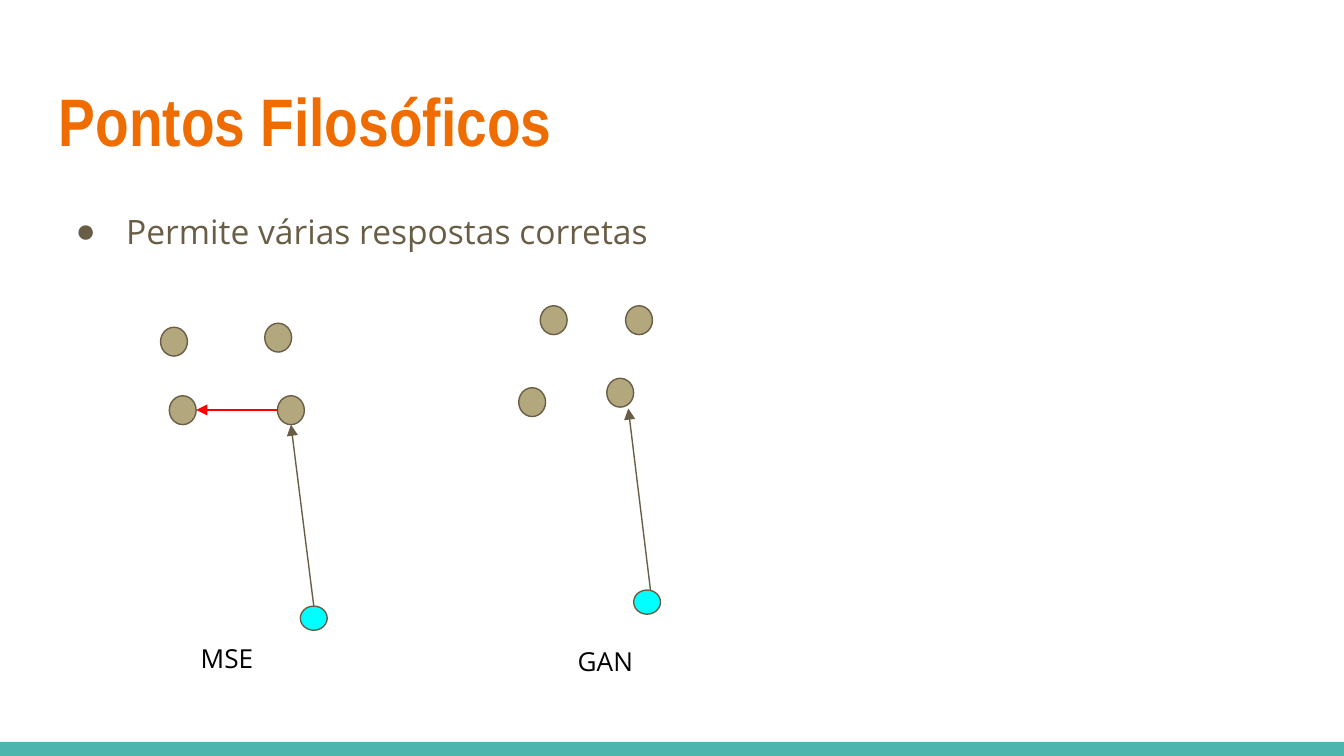
from dataclasses import dataclass

from lxml import etree
from pptx import Presentation
from pptx.dml.color import RGBColor
from pptx.enum.shapes import MSO_CONNECTOR, MSO_SHAPE
from pptx.oxml.ns import qn
from pptx.util import Emu, Pt

RECTANGLE = MSO_SHAPE.RECTANGLE
OVAL = MSO_SHAPE.OVAL
STRAIGHT = MSO_CONNECTOR.STRAIGHT
EMU_PER_PX = 4572
SLIDE_WIDTH, SLIDE_HEIGHT = 2000, 1125
FOOTER_TOP = 1104
TEXT_MARGIN = 20
BLANK_LAYOUT = 6


@dataclass(frozen=True)
class Theme:
    title_color: str = "EF6C00"
    body_color: str = "695D46"
    label_color: str = "000000"
    footer_color: str = "4DB6AC"
    answer_color: str = "B3A77D"
    input_color: str = "00FFFF"
    error_color: str = "FF0000"
    title_font: str = "Arial Narrow"
    body_font: str = "Open Sans"
    bullet_font: str = "Arial"
    title_size: int = 36
    body_size: int = 18
    label_size: int = 14
    line_width: float = 0.75


def px(value):
    return Emu(value * EMU_PER_PX)


class SlideBuilder:
    def __init__(self, slide, theme):
        self.slide = slide
        self.theme = theme

    def shape(self, kind, left, top, width, height, fill, line=None):
        shape = self.slide.shapes.add_shape(
            kind, px(left), px(top), px(width), px(height))
        shape.shadow.inherit = False
        shape.fill.solid()
        shape.fill.fore_color.rgb = RGBColor.from_string(fill)
        if line:
            shape.line.color.rgb = RGBColor.from_string(line)
            shape.line.width = Pt(self.theme.line_width)
        else:
            shape.line.fill.background()

    def answer(self, left, top):
        self.shape(OVAL, left, top, 40, 43,
                   self.theme.answer_color, self.theme.body_color)

    def input(self, left, top):
        self.shape(OVAL, left, top, 40, 36,
                   self.theme.input_color, self.theme.body_color)

    def arrow(self, start, end, color):
        connector = self.slide.shapes.add_connector(
            STRAIGHT, *(px(value) for value in start + end))
        connector.line.color.rgb = RGBColor.from_string(color)
        connector.line.width = Pt(self.theme.line_width)
        line = connector.line._get_or_add_ln()
        etree.SubElement(line, qn("a:tailEnd"), type="triangle")
        etree.SubElement(connector._element.spPr, qn("a:effectLst"))

    def text(self, content, left, top, width, height, font, size, color,
             bold=False, bullet=False):
        box = self.slide.shapes.add_textbox(
            px(left), px(top), px(width), px(height))
        frame = box.text_frame
        frame.word_wrap = True
        frame.margin_left = frame.margin_right = px(TEXT_MARGIN)
        frame.margin_top = frame.margin_bottom = px(TEXT_MARGIN)
        paragraph = frame.paragraphs[0]
        paragraph.text = content
        if bullet:
            self.bullet(paragraph, color)
        paragraph.font.name = font
        paragraph.font.size = Pt(size)
        paragraph.font.bold = bold
        paragraph.font.color.rgb = RGBColor.from_string(color)

    def bullet(self, paragraph, color):
        paragraph.line_spacing = 1.15
        properties = paragraph._p.get_or_add_pPr()
        properties.set("marL", str(px(100)))
        properties.set("indent", str(px(-75)))
        bullet_color = etree.SubElement(properties, qn("a:buClr"))
        etree.SubElement(bullet_color, qn("a:srgbClr"), val=color)
        etree.SubElement(properties, qn("a:buFont"), typeface=self.theme.bullet_font)
        etree.SubElement(properties, qn("a:buChar"), char="●")

    def label(self, content, left, top, width, height):
        self.text(content, left, top, width, height, self.theme.body_font,
                  self.theme.label_size, self.theme.label_color)

    def diagram(self, answers, input_point, arrow_start, arrow_end):
        for left, top in answers:
            self.answer(left, top)
        self.input(*input_point)
        self.arrow(arrow_start, arrow_end, self.theme.body_color)


def main():
    presentation = Presentation()
    presentation.slide_width = px(SLIDE_WIDTH)
    presentation.slide_height = px(SLIDE_HEIGHT)
    slide = presentation.slides.add_slide(presentation.slide_layouts[BLANK_LAYOUT])
    theme = Theme()
    builder = SlideBuilder(slide, theme)

    builder.shape(RECTANGLE, 0, FOOTER_TOP, SLIDE_WIDTH,
                  SLIDE_HEIGHT - FOOTER_TOP, theme.footer_color)
    builder.text("Pontos Filosóficos", 68, 98, 1864, 154, theme.title_font,
                 theme.title_size, theme.title_color, bold=True)
    builder.text("Permite várias respostas corretas", 68, 285, 1864, 722,
                 theme.body_font, theme.body_size, theme.body_color, bullet=True)

    builder.diagram([(239, 487), (394, 481), (252, 589), (413, 589)],
                    (447, 902), (467, 902), (433, 632))
    builder.arrow((413, 610), (292, 610), theme.error_color)
    builder.label("MSE", 279, 936, 246, 42)

    builder.diagram([(804, 455), (931, 455), (772, 577), (903, 563)],
                    (943, 878), (968, 878), (935, 608))
    builder.label("GAN", 840, 941, 224, 66)

    presentation.save("out.pptx")


if __name__ == "__main__":
    main()
